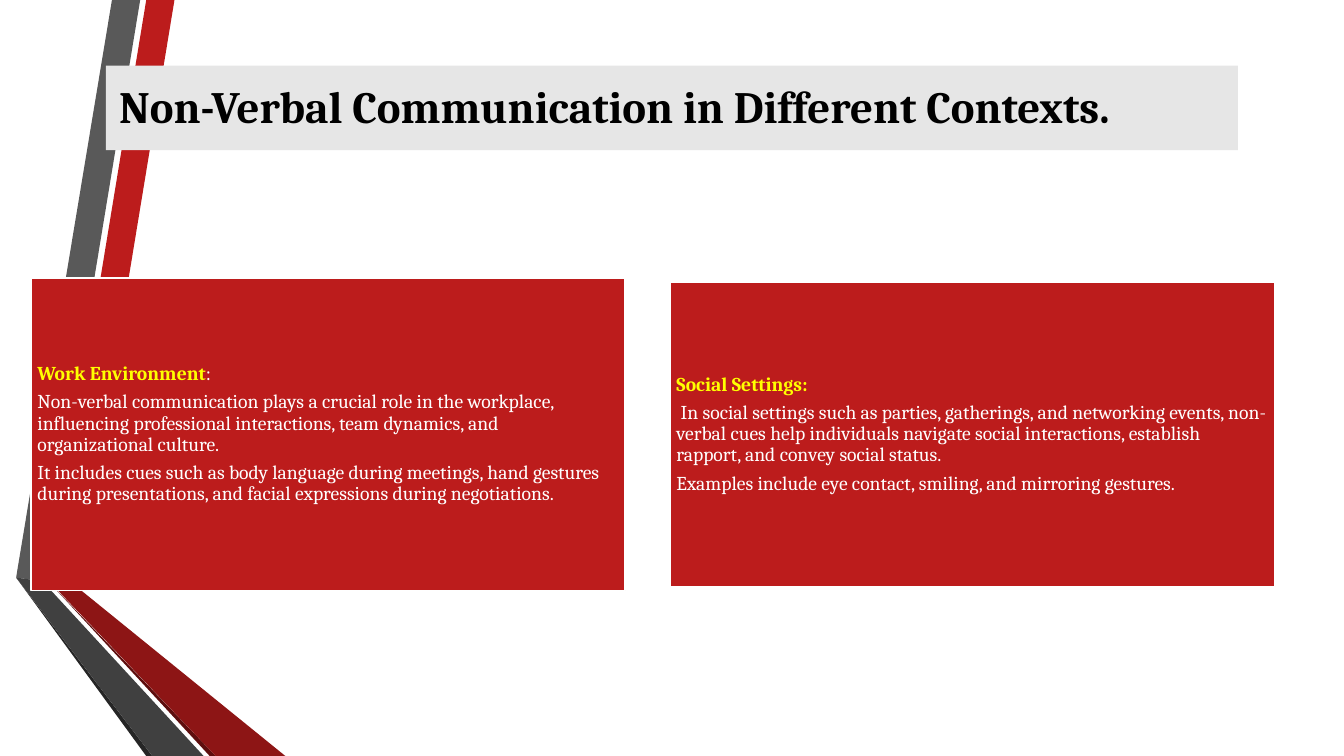
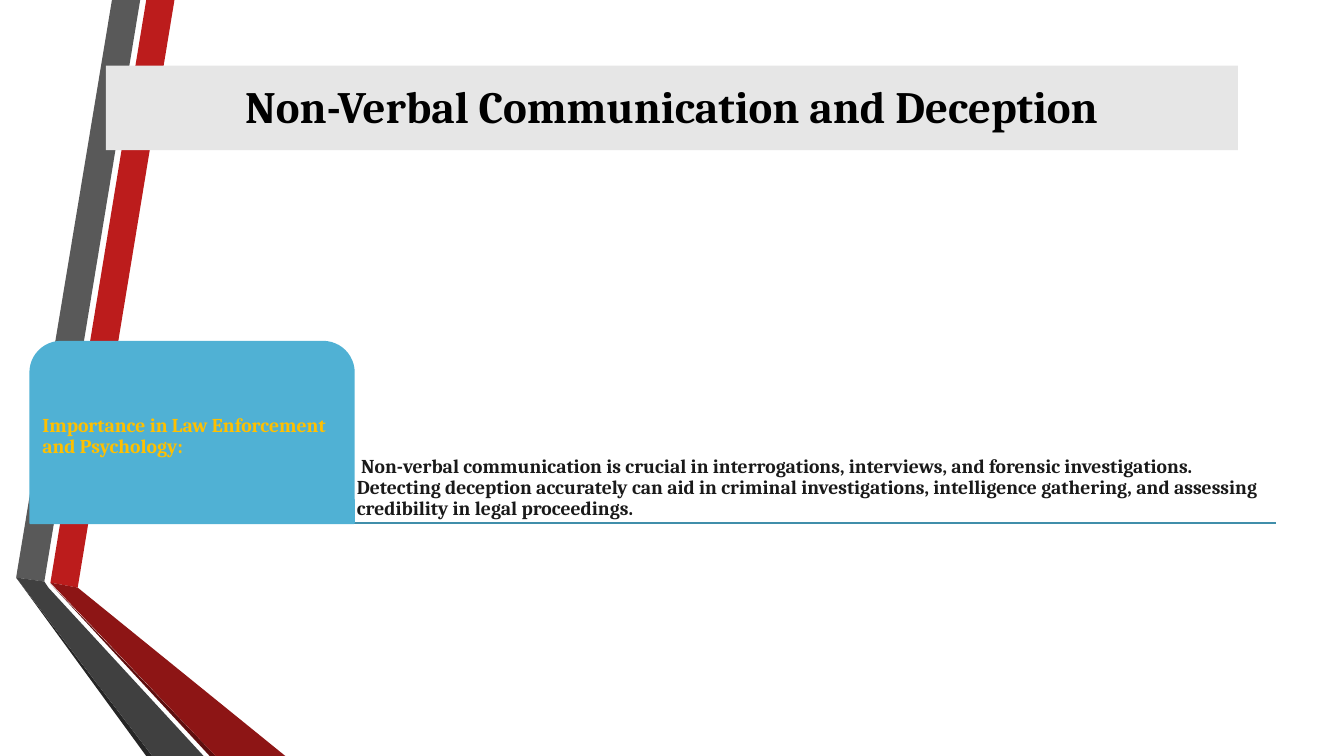
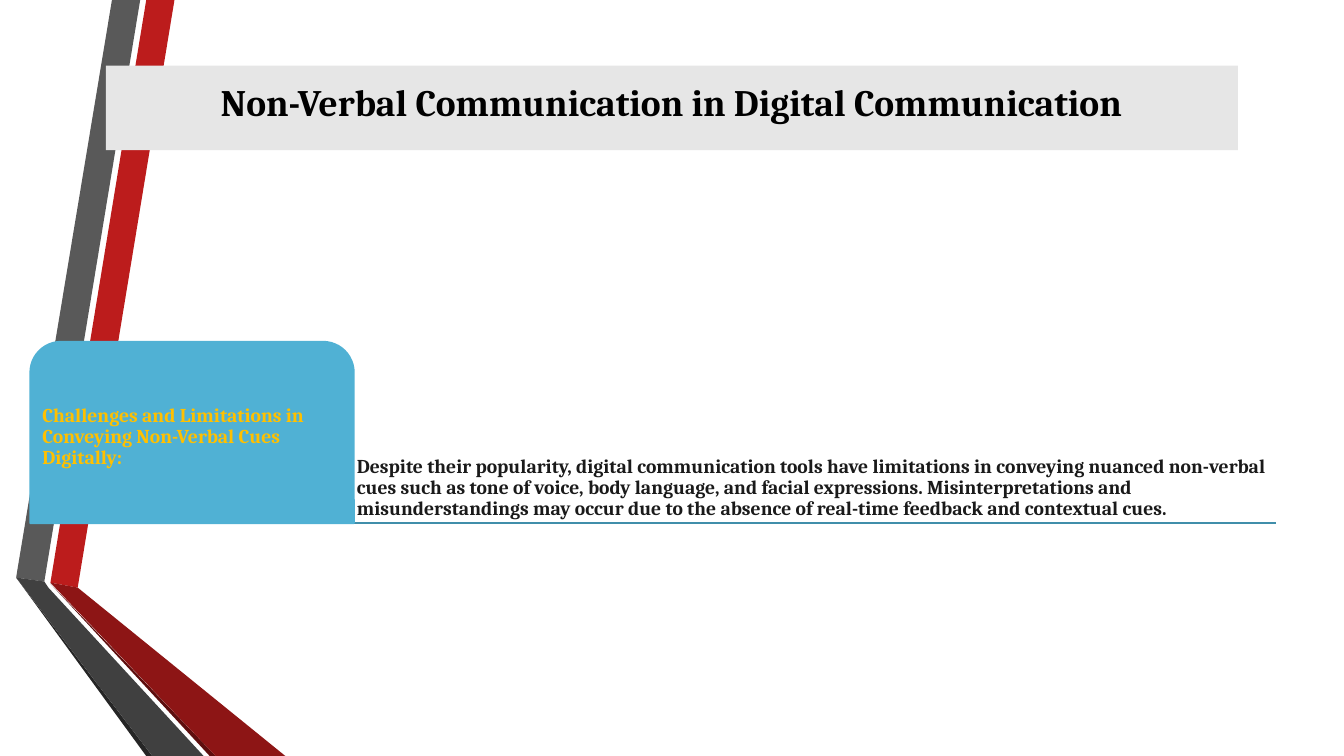
import pptx
import pptx.dml.color
import pptx.enum.shapes
import pptx.enum.text
import pptx.oxml.ns
import pptx.util
from lxml import etree

RGB = pptx.dml.color.RGBColor
ANCHOR = pptx.enum.text.MSO_ANCHOR
ALIGN = pptx.enum.text.PP_ALIGN
SHAPE = pptx.enum.shapes.MSO_SHAPE

RED = RGB(0xBC, 0x1C, 0x1C)
DARK_RED = RGB(0x8D, 0x15, 0x15)
MAROON = RGB(0x5E, 0x0E, 0x0E)
GREY = RGB(0x59, 0x59, 0x59)
DARK_GREY = RGB(0x40, 0x40, 0x40)
CHARCOAL = RGB(0x26, 0x26, 0x26)
PALE_GREY = RGB(0xE6, 0xE6, 0xE6)
SKY = RGB(0x50, 0xB1, 0xD4)
TEAL = RGB(0x40, 0x8E, 0xAA)
YELLOW = RGB(0xFF, 0xFF, 0x00)
AMBER = RGB(0xFF, 0xC0, 0x00)
INK = RGB(0x1A, 0x1A, 0x1A)
BLACK = RGB(0x00, 0x00, 0x00)
WHITE = RGB(0xFF, 0xFF, 0xFF)

FONT = "Cambria"
BODY_SIZE = 14
RULE_WIDTH = pptx.util.Pt(1.25)
SLIDE_W, SLIDE_H = pptx.util.Inches(13.33), pptx.util.Inches(7.5)

# Outlines and boxes are in percent of the slide's width and height.
RIBBON = [
    (RED, [(3.75, 77.07), (5.78, 77.73), (12.98, 0), (10.88, 0)]),
    (GREY, [(10.43, 0), (8.33, 0), (1.2, 76.4), (3.3, 76.93)]),
    (CHARCOAL, [(1.2, 76.4), (10.88, 100), (11.33, 100)]),
    (MAROON, [(3.75, 77.2), (15.6, 100), (16.05, 100)]),
    (DARK_RED, [(3.75, 77.07), (16.05, 100), (21.23, 100), (5.78, 77.73)]),
    (DARK_GREY, [(15.15, 100), (3.6, 77.73), (3.3, 76.93), (1.2, 76.4), (11.33, 100)]),
]
TITLE_BOX = (7.88, 8.67, 84.22, 11.2)
WORK_BOX = (2.33, 36.8, 44.18, 41.33)
SOCIAL_BOX = (49.88, 37.33, 45, 40.27)
CARD_LEFT, CARD_TOP, CARD_WIDTH, CARD_HEIGHT = 2.25, 45.2, 92.7, 24
TAB_WIDTH = 24.08


def across(percent):
    return round(SLIDE_W * percent / 100)


def down(percent):
    return round(SLIDE_H * percent / 100)


def place(left, top, width, height):
    return across(left), down(top), across(width), down(height)


def apply(target, **values):
    for name, value in values.items():
        setattr(target, name, value)


def paint(shape, fill, outline=None):
    shape.shadow.inherit = False
    shape.fill.solid()
    shape.fill.fore_color.rgb = fill
    if outline is None:
        shape.line.fill.background()
    else:
        shape.line.color.rgb = outline
        shape.line.width = RULE_WIDTH


def set_frame(frame, anchor, inset):
    margin = pptx.util.Inches(inset)
    apply(frame, word_wrap=True, auto_size=pptx.enum.text.MSO_AUTO_SIZE.NONE,
          vertical_anchor=anchor, margin_left=margin, margin_top=margin,
          margin_right=margin, margin_bottom=margin)


def add_run(paragraph, text, color, bold=True, size=BODY_SIZE):
    run = paragraph.add_run()
    run.text = text
    apply(run.font, name=FONT, size=pptx.util.Pt(size), bold=bold)
    run.font.color.rgb = color


def write(frame, paragraphs):
    """Fill the frame; each paragraph is a list of (text, color, bold) runs."""
    for index, runs in enumerate(paragraphs):
        paragraph = frame.add_paragraph() if index else frame.paragraphs[0]
        apply(paragraph, alignment=ALIGN.LEFT, line_spacing=0.9,
              space_after=pptx.util.Pt(5))
        for run in runs:
            add_run(paragraph, *run)


def add_ribbon(slide):
    """Draw the folded ribbon and hand it to the layout, so every slide shows it."""
    for color, outline in RIBBON:
        points = [(across(x), down(y)) for x, y in outline]
        builder = slide.shapes.build_freeform(*points[0])
        builder.add_line_segments(points[1:], close=True)
        strip = builder.convert_to_shape()
        paint(strip, color)
        slide.slide_layout.shapes.element.append(strip.element)


def add_titled_slide(deck, text, size=32, alignment=ALIGN.CENTER):
    slide = deck.slides.add_slide(deck.slide_layouts.get_by_name("Title Only"))
    title = slide.shapes.title
    left, top, width, height = place(*TITLE_BOX)
    apply(title, left=left, top=top, width=width, height=height)
    title.fill.solid()
    title.fill.fore_color.rgb = PALE_GREY
    set_frame(title.text_frame, ANCHOR.TOP, 0.13)
    heading = title.text_frame.paragraphs[0]
    heading.alignment = alignment
    add_run(heading, text, BLACK, size=size)
    return slide


def add_panel(slide, box, paragraphs):
    panel = slide.shapes.add_shape(SHAPE.RECTANGLE, *place(*box))
    paint(panel, RED, WHITE)
    set_frame(panel.text_frame, ANCHOR.MIDDLE, 0.06)
    write(panel.text_frame, paragraphs)


def add_tab_card(slide, label, detail):
    """Add a rounded tab with its detail text to the right and a rule below both."""
    bottom = down(CARD_TOP + CARD_HEIGHT)
    rule = slide.shapes.add_connector(
        pptx.enum.shapes.MSO_CONNECTOR.STRAIGHT,
        across(CARD_LEFT), bottom, across(CARD_LEFT + CARD_WIDTH), bottom)
    rule.line.color.rgb = TEAL
    rule.line.width = RULE_WIDTH
    etree.SubElement(rule.element.spPr, pptx.oxml.ns.qn("a:effectLst"))

    description = slide.shapes.add_textbox(*place(
        CARD_LEFT + TAB_WIDTH, CARD_TOP, CARD_WIDTH - TAB_WIDTH, CARD_HEIGHT))
    set_frame(description.text_frame, ANCHOR.BOTTOM, 0.03)
    write(description.text_frame, [[(detail, INK)]])

    tab = slide.shapes.add_shape(
        SHAPE.ROUND_2_SAME_RECTANGLE,
        *place(CARD_LEFT, CARD_TOP, TAB_WIDTH, CARD_HEIGHT))
    tab.adjustments[0] = 0.17
    paint(tab, SKY, SKY)
    set_frame(tab.text_frame, ANCHOR.MIDDLE, 0.03)
    write(tab.text_frame, [[(label, AMBER)]])


def main():
    deck = pptx.Presentation()
    apply(deck, slide_width=SLIDE_W, slide_height=SLIDE_H)

    contexts = add_titled_slide(
        deck, "Non-Verbal Communication in Different Contexts.", alignment=ALIGN.LEFT)
    add_ribbon(contexts)
    add_panel(contexts, WORK_BOX, [
        [("Work Environment", YELLOW), (":", WHITE, False)],
        [("Non-verbal communication plays a crucial role in the workplace, "
          "influencing professional interactions, team dynamics, and "
          "organizational culture.", WHITE, False)],
        [("It includes cues such as body language during meetings, hand gestures "
          "during presentations, and facial expressions during negotiations.",
          WHITE, False)],
    ])
    add_panel(contexts, SOCIAL_BOX, [
        [("Social Settings:", YELLOW)],
        [(" In social settings such as parties, gatherings, and networking events, "
          "non-verbal cues help individuals navigate social interactions, establish "
          "rapport, and convey social status.", WHITE, False)],
        [("Examples include eye contact, smiling, and mirroring gestures.",
          WHITE, False)],
    ])

    deception = add_titled_slide(deck, "Non-Verbal Communication and Deception")
    add_tab_card(
        deception, "Importance in Law Enforcement and Psychology:",
        " Non-verbal communication is crucial in interrogations, interviews, and "
        "forensic investigations. Detecting deception accurately can aid in criminal "
        "investigations, intelligence gathering, and assessing credibility in legal "
        "proceedings.")

    digital = add_titled_slide(
        deck, "Non-Verbal Communication in Digital Communication", size=26.7)
    add_tab_card(
        digital, "Challenges and Limitations in Conveying Non-Verbal Cues Digitally:",
        "Despite their popularity, digital communication tools have limitations in "
        "conveying nuanced non-verbal cues such as tone of voice, body language, and "
        "facial expressions. Misinterpretations and misunderstandings may occur due "
        "to the absence of real-time feedback and contextual cues.")

    deck.save("out.pptx")


if __name__ == "__main__":
    main()
